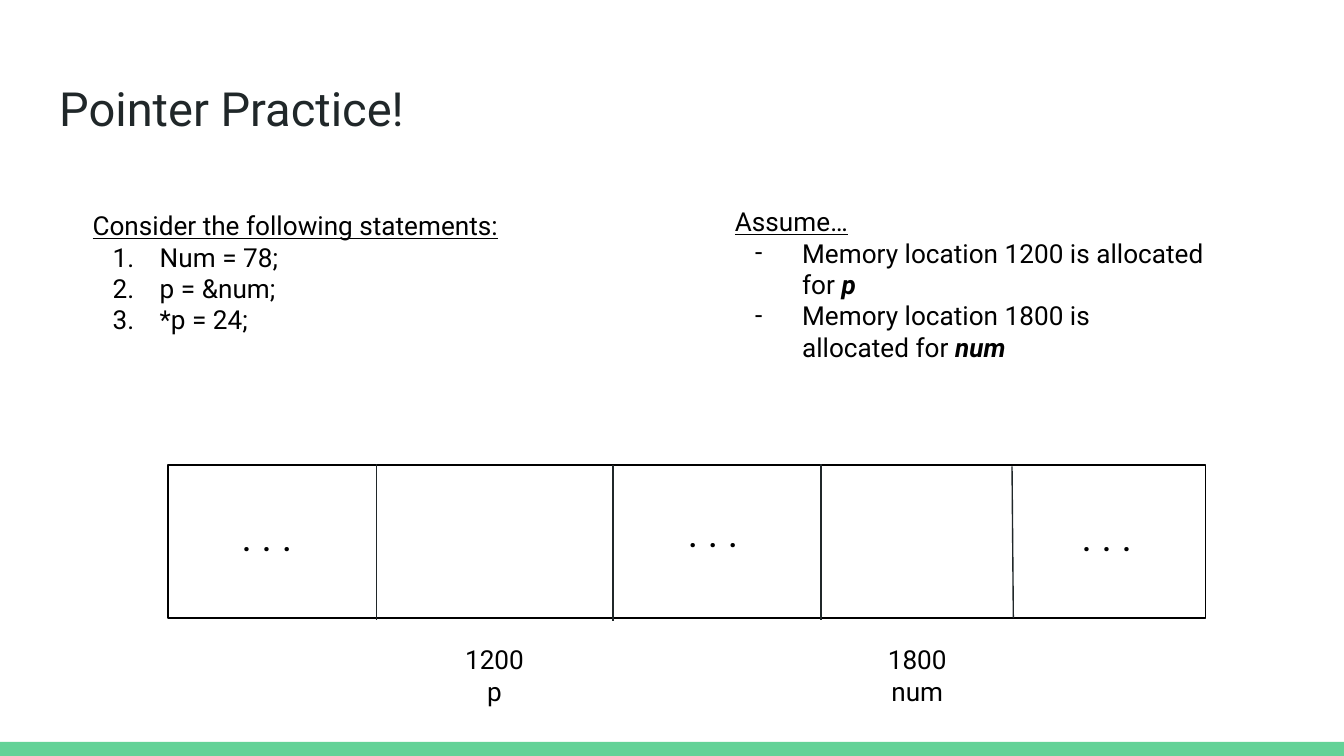
import dataclasses
import typing

import lxml.etree
import pptx
import pptx.dml.color
import pptx.enum.shapes
import pptx.enum.text
import pptx.oxml.ns
import pptx.util

PX = 9144
WIDE = 1000 * PX
HIGH = WIDE * 9 // 16
FONT = "Roboto"
HUES = {"ink": "000000", "dark": "202729", "green": "63D297"}
LEFT = pptx.enum.text.PP_ALIGN.LEFT
MID = pptx.enum.text.PP_ALIGN.CENTER


class Box(typing.NamedTuple):
    left: int
    top: int
    width: int
    height: int

    def emu(self) -> list[int]:
        return [side * PX for side in self]


class Run(typing.NamedTuple):
    text: str
    strong: bool = False
    under: bool = False


@dataclasses.dataclass
class Para:
    runs: list[Run]
    mark: str = ""
    inset: bool = False


@dataclasses.dataclass
class Block:
    box: Box
    paras: list[Para]
    size: float = 14
    align: int = LEFT
    hue: str = "ink"


class Wall(typing.NamedTuple):
    foot_x: int
    foot_y: int
    head_x: int
    head_y: int


def plain(text: str, mark: str = "") -> Para:
    return Para([Run(text)], mark)


def head(text: str) -> Para:
    return Para([Run(text, under=True)])


def dots(box: Box) -> Block:
    return Block(box, [plain(". . .")], size=21)


def color(name: str) -> pptx.dml.color.RGBColor:
    return pptx.dml.color.RGBColor.from_string(HUES[name])


def add_mark(para: typing.Any, item: Para) -> None:
    props = para._p.get_or_add_pPr()
    props.set("marL", str(50 * PX))
    props.set("indent", str(-35 * PX if item.mark else 0))
    if not item.mark:
        return
    name = pptx.oxml.ns.qn
    tint = lxml.etree.SubElement(props, name("a:buClr"))
    lxml.etree.SubElement(tint, name("a:srgbClr"), val=HUES["ink"])
    lxml.etree.SubElement(props, name("a:buFont"), typeface=FONT)
    if item.mark == "1.":
        lxml.etree.SubElement(props, name("a:buAutoNum"), type="arabicPeriod")
    else:
        lxml.etree.SubElement(props, name("a:buChar"), char=item.mark)


def fill_text(shape: typing.Any, block: Block) -> None:
    shape.left, shape.top, shape.width, shape.height = block.box.emu()
    frame = shape.text_frame
    frame.word_wrap = True
    frame.auto_size = pptx.enum.text.MSO_AUTO_SIZE.NONE
    frame.vertical_anchor = pptx.enum.text.MSO_ANCHOR.TOP
    frame.margin_left = frame.margin_right = 10 * PX
    frame.margin_top = frame.margin_bottom = 10 * PX
    for rank, item in enumerate(block.paras):
        para = frame.add_paragraph() if rank else frame.paragraphs[0]
        para.alignment = block.align
        para.space_before = pptx.util.Pt(0)
        if item.mark or item.inset:
            add_mark(para, item)
        for part in item.runs:
            run = para.add_run()
            run.text = part.text
            run.font.name = FONT
            run.font.size = pptx.util.Pt(block.size)
            run.font.color.rgb = color(block.hue)
            run.font.bold = run.font.italic = part.strong
            run.font.underline = part.under


def add_rect(slide: typing.Any, box: Box, fill: str = "", line: str = "") -> None:
    kind = pptx.enum.shapes.MSO_SHAPE.RECTANGLE
    shape = slide.shapes.add_shape(kind, *box.emu())
    shape.shadow.inherit = False
    if fill:
        shape.fill.solid()
        shape.fill.fore_color.rgb = color(fill)
    else:
        shape.fill.background()
    if line:
        shape.line.color.rgb = color(line)
        shape.line.width = pptx.util.Pt(0.75)
    else:
        shape.line.fill.background()


def add_wall(slide: typing.Any, wall: Wall) -> None:
    kind = pptx.enum.shapes.MSO_CONNECTOR.STRAIGHT
    line = slide.shapes.add_connector(kind, *[end * PX for end in wall])
    line.line.color.rgb = color("dark")
    line.line.width = pptx.util.Pt(0.75)
    lxml.etree.SubElement(line._element.spPr, pptx.oxml.ns.qn("a:effectLst"))


TITLE = Block(Box(34, 49, 932, 63), [plain("Pointer Practice!")], 25.2, hue="dark")

WALLS = [
    Wall(280, 461, 280, 345),
    Wall(754, 460, 753, 347),
    Wall(456, 462, 456, 346),
    Wall(611, 461, 611, 345),
]

BLOCKS = [
    Block(Box(537, 143, 383, 160), [
        head("Assume…"),
        Para([Run("Memory location 1200 is allocated for "), Run("p", True)], "-"),
        plain("Memory location 1800 is", "-"),
        Para([Run("allocated for "), Run("num", True)], inset=True),
    ]),
    dots(Box(170, 371, 109, 63)),
    dots(Box(795, 371, 106, 63)),
    dots(Box(502, 368, 109, 72)),
    Block(Box(296, 469, 144, 68), [plain("1200"), plain("p")], align=MID),
    Block(Box(624, 469, 117, 78), [plain("1800"), plain("num")], align=MID),
    Block(Box(59, 146, 371, 154), [
        head("Consider the following statements:"),
        *[plain(code, "1.") for code in ("Num = 78;", "p = &num;", "*p = 24;")],
    ]),
]


def main() -> None:
    deck = pptx.Presentation()
    deck.slide_width, deck.slide_height = WIDE, HIGH
    slide = deck.slides.add_slide(deck.slide_layouts[5])
    add_rect(slide, Box(0, 552, 1000, 11), fill="green")
    fill_text(slide.shapes.title, TITLE)
    add_rect(slide, Box(125, 346, 772, 114), line="ink")
    for wall in WALLS:
        add_wall(slide, wall)
    for block in BLOCKS:
        fill_text(slide.shapes.add_textbox(*block.box.emu()), block)
    deck.save("out.pptx")


if __name__ == "__main__":
    main()
